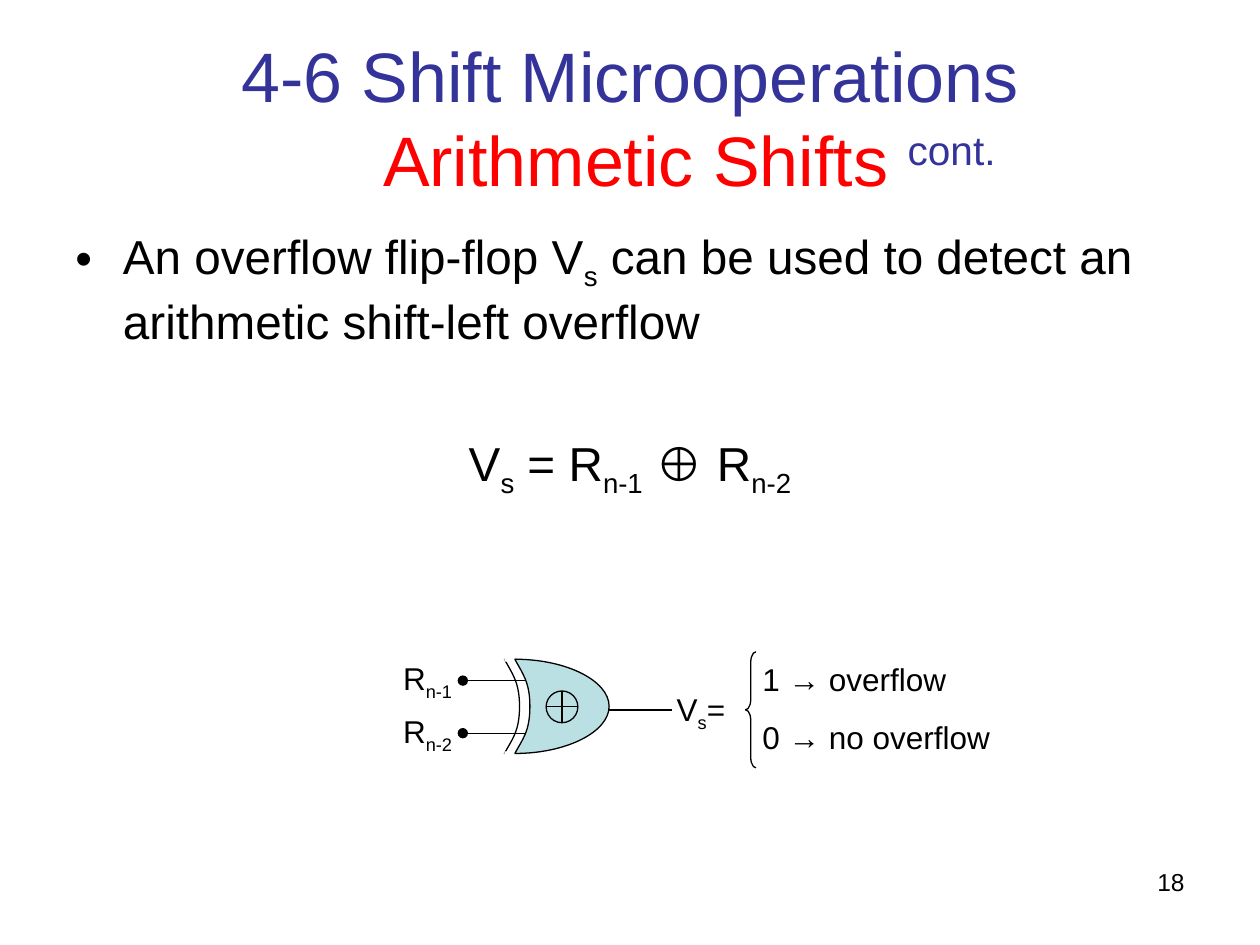
from lxml import etree
from pptx import Presentation
from pptx.dml.color import RGBColor
from pptx.enum.shapes import MSO_CONNECTOR, MSO_SHAPE
from pptx.enum.text import MSO_ANCHOR, PP_ALIGN
from pptx.oxml.ns import qn
from pptx.util import Cm, Pt

BLACK = RGBColor(0x00, 0x00, 0x00)
WHITE = RGBColor(0xFF, 0xFF, 0xFF)
NAVY = RGBColor(0x33, 0x33, 0x99)
RED = RGBColor(0xFF, 0x00, 0x00)
TEAL = RGBColor(0xBB, 0xE0, 0xE3)
LEFT, CENTER, RIGHT = PP_ALIGN.LEFT, PP_ALIGN.CENTER, PP_ALIGN.RIGHT
MIDDLE = MSO_ANCHOR.MIDDLE
STRAIGHT = MSO_CONNECTOR.STRAIGHT
RECTANGLE, OR_SIGN, BRACE = MSO_SHAPE.RECTANGLE, MSO_SHAPE.FLOWCHART_OR, MSO_SHAPE.LEFT_BRACE
FONT = "Arial"
SUBSCRIPT, SUPERSCRIPT = -25, 30
LINE_WIDTH = Pt(0.75)
LINE_BREAK = "\n"

# Gate outline in a unit square: a start, then three control points a curve
GATE_POINTS = [
    (0, 1),
    (0.08, 0.85), (0.16, 0.77), (0.16, 0.5),
    (0.16, 0.24), (0.08, 0.15), (0, 0),
    (0.55, 0), (1, 0.23), (1, 0.5),
    (1, 0.77), (0.55, 1), (0, 1),
]


def add_text_box(slide, left, top, width, height):
    box = slide.shapes.add_textbox(Cm(left), Cm(top), Cm(width), Cm(height))
    box.text_frame.word_wrap = True
    return box.text_frame


def write(paragraph, parts, size, align=LEFT, before=0):
    """Each part is a text, or a pair of a text and its baseline shift in percent."""
    paragraph.alignment = align
    paragraph.space_before = Pt(before)
    paragraph.font.name = FONT
    paragraph.font.size = Pt(size)
    paragraph.font.color.rgb = BLACK
    for part in parts:
        if part == LINE_BREAK:
            paragraph.add_line_break()
            continue
        text, shift = (part, 0) if isinstance(part, str) else part
        run = paragraph.add_run()
        run.text = text
        if shift:
            run.font._element.set("baseline", str(shift * 1000))


def set_hanging_indent(paragraph, distance):
    properties = paragraph._p.get_or_add_pPr()
    properties.set("marL", str(Cm(distance)))
    properties.set("indent", str(-Cm(distance)))
    return properties


def style(shape, fill=None, outlined=True):
    shape.shadow.inherit = False
    if fill is None:
        shape.fill.background()
    else:
        shape.fill.solid()
        shape.fill.fore_color.rgb = fill
    if outlined:
        shape.line.color.rgb = BLACK
        shape.line.width = LINE_WIDTH
    else:
        shape.line.fill.background()


def add_shape(slide, kind, left, top, width, height, fill=None, outlined=True):
    shape = slide.shapes.add_shape(kind, Cm(left), Cm(top), Cm(width), Cm(height))
    style(shape, fill, outlined)
    return shape


def add_wire(slide, start_x, end_x, y, dot=False):
    wire = slide.shapes.add_connector(STRAIGHT, Cm(start_x), Cm(y), Cm(end_x), Cm(y))
    wire.line.color.rgb = BLACK
    wire.line.width = LINE_WIDTH
    if dot:
        etree.SubElement(wire.line._get_or_add_ln(), qn("a:tailEnd"), type="oval")
    etree.SubElement(wire._element.spPr, qn("a:effectLst"))


def add_gate(slide, left, top, size, fill=None):
    vertices = [(Cm(left + x * size), Cm(top + y * size)) for x, y in GATE_POINTS]
    builder = slide.shapes.build_freeform(*vertices[0])
    builder.add_line_segments(vertices[1:], close=True)
    gate = builder.convert_to_shape()
    # Turn every three line segments into one Bezier curve
    segments = list(gate._element.iter(qn("a:lnTo")))
    for index in range(0, len(segments), 3):
        curve = etree.Element(qn("a:cubicBezTo"))
        segments[index].addprevious(curve)
        for segment in segments[index:index + 3]:
            curve.append(segment[0])
            segment.getparent().remove(segment)
    style(gate, fill)


def add_title(slide, left, top, width, height):
    frame = add_text_box(slide, left, top, width, height)
    frame.vertical_anchor = MIDDLE
    paragraph = frame.paragraphs[0]
    write(paragraph, ["4-6 Shift Microoperations", LINE_BREAK, " Arithmetic Shifts ",
                      ("cont.", SUPERSCRIPT)], 40, CENTER)
    set_hanging_indent(paragraph, 2.08)
    for run, color in zip(paragraph.runs, (NAVY, RED, NAVY)):
        run.font.color.rgb = color


def add_body(slide, left, top, width, height):
    frame = add_text_box(slide, left, top, width, height)
    statement = frame.paragraphs[0]
    write(statement, ["An overflow flip-flop V", ("s", SUBSCRIPT),
                      " can be used to detect an arithmetic shift-left overflow"], 27.2, before=8)
    properties = set_hanging_indent(statement, 0.96)
    defaults = properties.find(qn("a:defRPr"))
    defaults.addprevious(etree.Element(qn("a:buFont"), typeface=FONT))
    defaults.addprevious(etree.Element(qn("a:buChar"), char="•"))

    formula = frame.add_paragraph()
    write(formula, ["V", ("s", SUBSCRIPT), " = R", ("n-1", SUBSCRIPT), " ⊕", " R",
                    ("n-2", SUBSCRIPT)], 27.2, CENTER, before=48.7)
    set_hanging_indent(formula, 0.96)
    formula.runs[4].font.bold = True


def add_overflow_circuit(slide, left, top):
    # Exclusive-or gate: two outlines, with the corners of the rear one masked
    add_gate(slide, left + 2.54, top + 0.15, 1.9)
    add_gate(slide, left + 2.75, top + 0.15, 1.9, TEAL)
    for mask_top in (0, 2.01):
        add_shape(slide, RECTANGLE, left + 2.54, top + mask_top, 0.2, 0.2, WHITE, False)

    # Inputs with their labels
    for name, y in (("n-1", 0.58), ("n-2", 1.64)):
        add_wire(slide, left + 2.97, left + 1.7, top + y, dot=True)
        label = add_text_box(slide, left, top + y - 0.55, 1.98, 1.12)
        write(label.paragraphs[0], ["R", (name, SUBSCRIPT)], 18, CENTER, 11.2)

    # Operator sign and output
    add_shape(slide, OR_SIGN, left + 3.38, top + 0.79, 0.64, 0.64, TEAL)
    add_wire(slide, left + 4.65, left + 5.92, top + 1.17)
    output = add_text_box(slide, left + 5.61, top + 0.64, 1.78, 1.12)
    write(output.paragraphs[0], ["V", ("s", SUBSCRIPT), "="], 18, CENTER, 11.2)

    # Meaning of the output values
    brace = add_shape(slide, BRACE, left + 7.4, top, 0.21, 2.34)
    brace.adjustments[0] = 1
    cases = add_text_box(slide, left + 7.49, top + 0.05, 5.72, 2.18)
    write(cases.paragraphs[0], ["1 → overflow"], 18, before=11.2)
    write(cases.add_paragraph(), ["0 → no overflow"], 18, before=11.2)


def add_page_number(slide, left, top, width, height):
    frame = add_text_box(slide, left, top, width, height)
    write(frame.paragraphs[0], ["18"], 14, RIGHT)


def main():
    presentation = Presentation()
    presentation.slide_width, presentation.slide_height = Cm(25.4), Cm(19.05)
    slide = presentation.slides.add_slide(presentation.slide_layouts[6])
    add_page_number(slide, 18.2, 17.35, 5.93, 1.32)
    add_title(slide, 1.27, 0.76, 22.86, 3.18)
    add_body(slide, 1.27, 4.45, 22.86, 5.92)
    add_overflow_circuit(slide, 7.63, 13.14)
    presentation.save("out.pptx")


if __name__ == "__main__":
    main()
